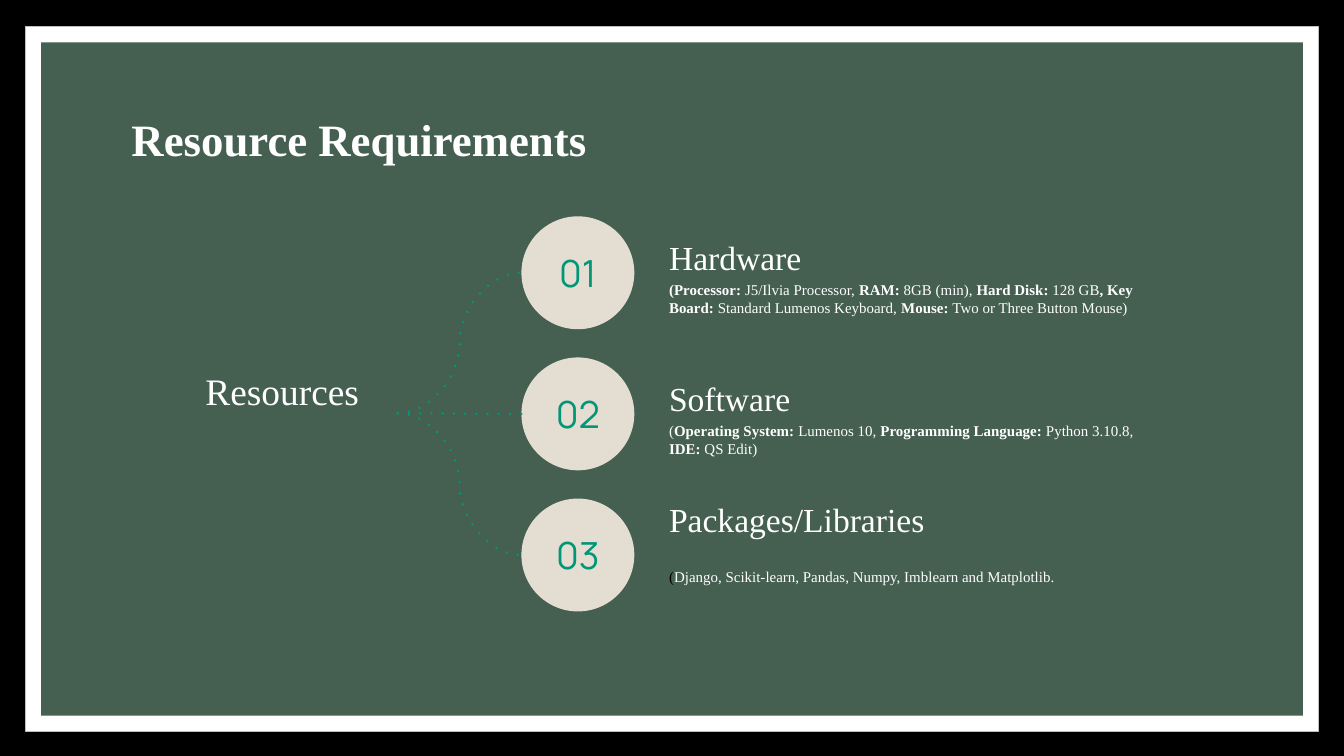
from lxml.etree import SubElement
from pptx import Presentation
from pptx.dml.color import RGBColor
from pptx.enum.shapes import MSO_CONNECTOR, MSO_SHAPE
from pptx.enum.text import MSO_ANCHOR, PP_ALIGN
from pptx.oxml.ns import qn
from pptx.util import Inches, Pt

BLACK = RGBColor(0x00, 0x00, 0x00)
WHITE = RGBColor(0xFF, 0xFF, 0xFF)
GREY = RGBColor(0xBF, 0xBF, 0xBF)
GREEN = RGBColor(0x45, 0x5F, 0x51)
TEAL = RGBColor(0x02, 0x96, 0x76)
CREAM = RGBColor(0xE3, 0xDE, 0xD1)

SERIF = "Times New Roman"
SANS = "Manrope"

SLIDE_WIDTH = Inches(10)
SLIDE_HEIGHT = SLIDE_WIDTH * 9 // 16

CIRCLE_LEFT, CIRCLE_SIZE = 3.88, 0.84
FIRST_TOP, ROW_PITCH = 1.61, 1.05
TEXT_LEFT, TEXT_WIDTH = 4.88, 3.74

# Each detail span is (text, format that differs from the paragraph's).
BOLD = {"bold": True}
RESOURCES = [
    {"heading": "Hardware",
     "detail": [("(Processor: ", BOLD), ("J5/Ilvia Processor, ", {}),
                ("RAM: ", BOLD), ("8GB (min), ", {}),
                ("Hard Disk: ", BOLD), ("128 GB", {}),
                (", Key Board: ", BOLD), ("Standard Lumenos Keyboard, ", {}),
                ("Mouse: ", BOLD), ("Two or Three Button Mouse)", {})]},
    {"heading": "Software",
     "detail": [("(", {}), ("Operating System: ", BOLD), ("Lumenos 10, ", {}),
                ("Programming Language: ", BOLD), ("Python 3.10.8, ", {}),
                ("IDE: ", BOLD), ("QS Edit)", {})]},
    {"heading": "Packages/Libraries",
     "detail": [("(", {"color": BLACK}),
                ("Django, Scikit-learn, Pandas, Numpy, Imblearn and Matplotlib.", {})],
     "heading_offset": -0.17, "detail_offset": 0.42,
     "detail_width": 4.12, "detail_spacing": 1.15},
]


def write_text(shape, spans, size, font=SERIF, color=WHITE, bold=False,
               align=PP_ALIGN.LEFT, anchor=MSO_ANCHOR.TOP, spacing=1.0):
    """Fill a shape with one paragraph; spans is a string or (text, format) pairs."""
    frame = shape.text_frame
    frame.word_wrap = True
    frame.vertical_anchor = anchor
    frame.margin_left = frame.margin_right = Inches(0.1)
    frame.margin_top = frame.margin_bottom = Inches(0.1)
    para = frame.paragraphs[0]
    para.alignment = align
    para.line_spacing = spacing
    for text, changes in [(spans, {})] if isinstance(spans, str) else spans:
        span = para.add_run()
        span.text = text
        span.font.name = font
        span.font.size = Pt(size)
        span.font.bold = changes.get("bold", bold)
        span.font.color.rgb = changes.get("color", color)


def add_text(page, left, top, width, height, spans, **text_format):
    box = page.shapes.add_textbox(
        Inches(left), Inches(top), Inches(width), Inches(height))
    write_text(box, spans, **text_format)
    return box


def add_filled(page, kind, left, top, width, height, color, line=None):
    shape = page.shapes.add_shape(
        kind, Inches(left), Inches(top), Inches(width), Inches(height))
    shape.shadow.inherit = False
    shape.fill.solid()
    shape.fill.fore_color.rgb = color
    if line is None:
        shape.line.fill.background()
    else:
        shape.line.color.rgb = line
        shape.line.width = Pt(0.5)
    return shape


def add_frame(page, left, top, width, height):
    """Draw a white panel with a green panel centred on it."""
    margins = 0.23
    add_filled(page, MSO_SHAPE.RECTANGLE, left, top, width, height, WHITE, GREY)
    add_filled(page, MSO_SHAPE.RECTANGLE, left + margins / 2, top + margins / 2,
               width - margins, height - margins, GREEN)


def add_resource(page, top, number, heading, detail, heading_offset=-0.02,
                 detail_offset=0.38, detail_width=TEXT_WIDTH, detail_spacing=1.0):
    """Add a numbered circle with its heading and detail, and return the circle."""
    circle = add_filled(page, MSO_SHAPE.OVAL, CIRCLE_LEFT, top,
                        CIRCLE_SIZE, CIRCLE_SIZE, CREAM)
    write_text(circle, f"{number:02d}", size=20, font=SANS, color=TEAL,
               align=PP_ALIGN.CENTER, anchor=MSO_ANCHOR.MIDDLE)
    add_text(page, TEXT_LEFT, top + heading_offset, TEXT_WIDTH, 0.57, heading,
             size=18, anchor=MSO_ANCHOR.BOTTOM, spacing=1.15)
    add_text(page, TEXT_LEFT, top + detail_offset, detail_width, 0.42, detail,
             size=8, spacing=detail_spacing)
    return circle


def add_branch(page, label, circle):
    """Draw a dotted curve from the label's right side to the circle's left side."""
    branch = page.shapes.add_connector(
        MSO_CONNECTOR.CURVE,
        label.left + label.width, label.top + label.height // 2,
        circle.left, circle.top + circle.height // 2)
    branch.begin_connect(label, 3)
    branch.line.color.rgb = TEAL
    branch.line.width = Pt(1.5)
    outline = branch.element.spPr.find(qn("a:ln"))
    outline.set("cap", "rnd")
    SubElement(outline, qn("a:prstDash"), val="dot")
    SubElement(branch.element.spPr, qn("a:effectLst"))


def main():
    deck = Presentation()
    deck.slide_width = SLIDE_WIDTH
    deck.slide_height = SLIDE_HEIGHT
    page = deck.slides.add_slide(deck.slide_layouts[6])
    page.background.fill.solid()
    page.background.fill.fore_color.rgb = BLACK

    add_frame(page, 0.19, 0.2, 9.62, 5.24)
    add_text(page, 0.88, 0.53, 8.25, 1.12, "Resource Requirements",
             size=24, bold=True, spacing=1.5)
    label = add_text(page, 1.24, 2.59, 1.72, 0.97, "Resources",
                     size=20, align=PP_ALIGN.CENTER, spacing=1.15)
    for index, resource in enumerate(RESOURCES):
        circle = add_resource(page, FIRST_TOP + index * ROW_PITCH, index + 1, **resource)
        add_branch(page, label, circle)
    deck.save("out.pptx")


if __name__ == "__main__":
    main()
